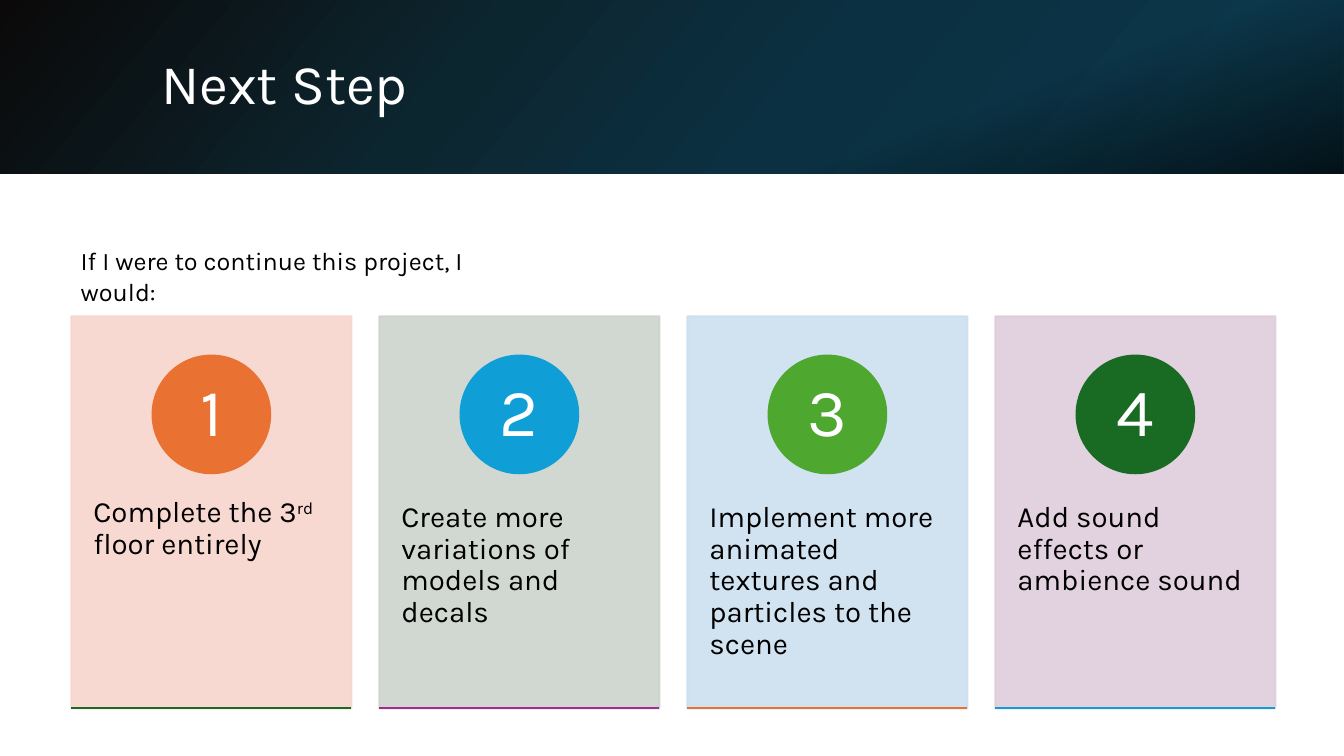
from lxml import etree
from pptx import Presentation
from pptx.dml.color import RGBColor
from pptx.enum import shapes, text
from pptx.oxml import ns
from pptx.util import Pt

FONT = "Karla"
COLORS = {
    "white": "FFFFFF", "black": "000000",
    "orange": "E97132", "blue": "0F9ED5", "light_green": "4EA72E",
    "green": "196B24", "purple": "A02B93",
    "peach": "F7D5CE", "sage": "CCD4CD", "sky": "CCDFEF", "mauve": "DFCDDC",
    "ink": "0B0909", "deep_teal": "0C2630", "navy": "0B3041", "teal": "0C3A4E",
}
SLIDE_W, SLIDE_H, BANNER_H = 960, 540, 124
CARD_LEFT, CARD_TOP, CARD_W, CARD_H, CARD_PITCH = 51, 226, 200, 280, 220
BADGE_TOP, BADGE_SIZE = 254, 84
STEP_TOP, STEP_H = 332.6, 168

# Card fill, badge fill, base line, runs of the step as (words, is superscript)
STEPS = [
    ("peach", "orange", "green",
     [("Complete the 3", False), ("rd", True), (" floor entirely", False)]),
    ("sage", "blue", "purple",
     [("Create more variations of models and decals", False)]),
    ("sky", "light_green", "orange",
     [("Implement more animated textures and particles to the scene", False)]),
    ("mauve", "green", "blue",
     [("Add sound effects or ambience sound", False)]),
]


def rgb(name):
    return RGBColor.from_string(COLORS[name])


def set_alpha(color_element, percent):
    alpha = etree.SubElement(color_element, ns.qn("a:alpha"))
    alpha.set("val", str(percent * 1000))


def add_filled(slide, preset, left, top, width, height, color, opacity=100):
    """Add a preset shape whose outline has the colour of its fill."""
    shape = slide.shapes.add_shape(
        preset, Pt(left), Pt(top), Pt(width), Pt(height))
    shape.shadow.inherit = False
    shape.fill.solid()
    shape.fill.fore_color.rgb = rgb(color)
    shape.line.color.rgb = rgb(color)
    shape.line.width = Pt(1.5)
    if opacity < 100:
        for color_element in list(shape._element.spPr.iter(ns.qn("a:srgbClr"))):
            set_alpha(color_element, opacity)
    return shape


def add_banner_layer(slide, angle, stops):
    """Add a gradient across the banner; stops are (position, colour, opacity)."""
    layer = add_filled(slide, shapes.MSO_SHAPE.RECTANGLE,
                       0, 0, SLIDE_W, BANNER_H, "navy")
    layer.line.fill.background()
    layer.fill.gradient()
    gradient = layer._element.spPr.find(ns.qn("a:gradFill"))
    stop_list = gradient.find(ns.qn("a:gsLst"))
    for old_stop in list(stop_list):
        stop_list.remove(old_stop)
    for position, color, opacity in stops:
        stop = etree.SubElement(stop_list, ns.qn("a:gs"), pos=str(position * 1000))
        color_element = etree.SubElement(
            stop, ns.qn("a:srgbClr"), val=COLORS[color])
        set_alpha(color_element, opacity)
    direction = gradient.find(ns.qn("a:lin"))
    direction.set("ang", str(angle * 60000))
    direction.set("scaled", "0")


def set_insets(frame, horizontal, vertical):
    frame.margin_left = frame.margin_right = Pt(horizontal)
    frame.margin_top = frame.margin_bottom = Pt(vertical)


def add_run(paragraph, words, size, color, superscript=False):
    run = paragraph.add_run()
    run.text = words
    run.font.name = FONT
    run.font.size = Pt(size)
    run.font.color.rgb = rgb(color)
    if superscript:
        run._r.get_or_add_rPr().set("baseline", "30000")


def add_text_box(slide, left, top, width, height):
    frame = slide.shapes.add_textbox(
        Pt(left), Pt(top), Pt(width), Pt(height)).text_frame
    frame.word_wrap = True
    return frame


def add_title(slide, words):
    title = slide.shapes.title
    title.left, title.top, title.width, title.height = (
        Pt(108), Pt(27.4), Pt(790.6), Pt(69))
    frame = title.text_frame
    frame.auto_size = text.MSO_AUTO_SIZE.NONE
    frame.vertical_anchor = text.MSO_ANCHOR.MIDDLE
    paragraph = frame.paragraphs[0]
    paragraph.alignment = text.PP_ALIGN.LEFT
    paragraph.line_spacing = 0.9
    add_run(paragraph, words, 40, "white")
    # Bring the title in front of the banner
    slide.shapes._spTree.append(title._element)


def add_badge(slide, left, number, color):
    badge = add_filled(slide, shapes.MSO_SHAPE.OVAL,
                       left, BADGE_TOP, BADGE_SIZE, BADGE_SIZE, color)
    frame = badge.text_frame
    set_insets(frame, 6, 0)
    frame.vertical_anchor = text.MSO_ANCHOR.MIDDLE
    paragraph = frame.paragraphs[0]
    paragraph.alignment = text.PP_ALIGN.CENTER
    paragraph.line_spacing = 0.9
    add_run(paragraph, str(number), 48, "white")


def add_base_line(slide, left, color):
    bottom = CARD_TOP + CARD_H
    line = slide.shapes.add_connector(
        shapes.MSO_CONNECTOR.STRAIGHT,
        Pt(left), Pt(bottom), Pt(left + CARD_W), Pt(bottom))
    line.line.color.rgb = rgb(color)
    line.line.width = Pt(1.5)
    etree.SubElement(line._element.spPr, ns.qn("a:effectLst"))


def add_step_card(slide, number, card_color, badge_color, line_color, step_runs):
    left = CARD_LEFT + (number - 1) * CARD_PITCH
    add_filled(slide, shapes.MSO_SHAPE.RECTANGLE,
               left, CARD_TOP, CARD_W, CARD_H, card_color, opacity=90)
    step = add_text_box(slide, left, STEP_TOP, CARD_W, STEP_H)
    set_insets(step, 15.8, 26)
    step.paragraphs[0].line_spacing = 0.9
    for words, superscript in step_runs:
        add_run(step.paragraphs[0], words, 21, "black", superscript)
    add_badge(slide, left + (CARD_W - BADGE_SIZE) / 2, number, badge_color)
    add_base_line(slide, left, line_color)


def main():
    deck = Presentation()
    deck.slide_width, deck.slide_height = Pt(SLIDE_W), Pt(SLIDE_H)
    slide = deck.slides.add_slide(deck.slide_layouts[5])
    add_banner_layer(slide, 40, [(0, "ink", 100), (35, "deep_teal", 100),
                                 (60, "navy", 100), (100, "teal", 100)])
    add_banner_layer(slide, 70, [(70, "black", 0), (100, "black", 70)])
    add_title(slide, "Next Step")
    for number, step in enumerate(STEPS, start=1):
        add_step_card(slide, number, *step)
    intro = add_text_box(slide, 50.6, 172, 329, 29)
    add_run(intro.paragraphs[0],
            "If I were to continue this project, I would:", 18, "black")
    deck.save("out.pptx")


if __name__ == "__main__":
    main()
